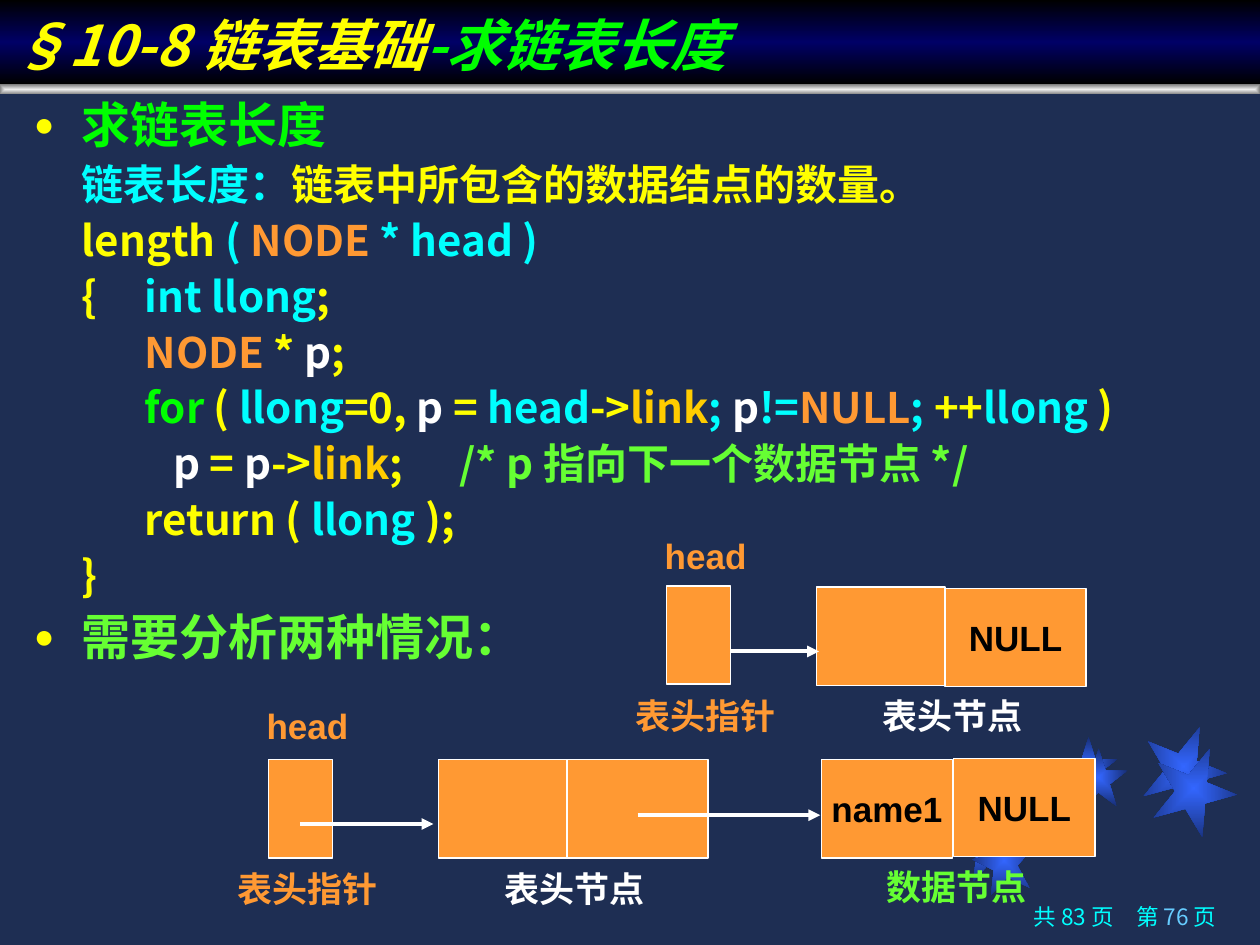
from lxml import etree
from pptx import Presentation
from pptx.dml.color import RGBColor
from pptx.enum.shapes import MSO_CONNECTOR, MSO_SHAPE
from pptx.enum.text import MSO_ANCHOR, PP_ALIGN
from pptx.oxml.ns import qn
from pptx.util import Inches, Pt

RECT, STAR = MSO_SHAPE.RECTANGLE, MSO_SHAPE.STAR_5_POINT
LINE = MSO_CONNECTOR.STRAIGHT
MIDDLE, BOTTOM = MSO_ANCHOR.MIDDLE, MSO_ANCHOR.BOTTOM
CENTER, RIGHT = PP_ALIGN.CENTER, PP_ALIGN.RIGHT
SANS, ARIAL = "Noto Sans CJK SC", "Arial"
YELLOW, CYAN, GREEN, LIME = "FFFF00", "00FFFF", "00FF00", "66FF33"
ORANGE, GOLD, WHITE, BLACK = "FF9933", "FFCC00", "FFFFFF", "000000"

# Each line of code is a list of (text, colour) runs.
CODE = [
    [("链表长度：", CYAN), ("链表中所包含的数据结点的数量。", YELLOW)],
    [("length", YELLOW), (" ( ", CYAN), ("NODE", ORANGE), (" * head )", CYAN)],
    [("{\t", YELLOW), ("int llong", CYAN), (";", YELLOW)],
    [("\t", YELLOW), ("NODE", ORANGE), (" * ", YELLOW), ("p", WHITE), (";", YELLOW)],
    [("\t", YELLOW), ("for ", GREEN), ("( ", YELLOW), ("llong", CYAN),
     ("=0,", YELLOW), (" p ", WHITE), ("=", YELLOW), (" head", CYAN),
     ("->", YELLOW), ("link", GOLD), ("; ", CYAN), ("p", WHITE), ("!=", CYAN),
     ("NULL", ORANGE), ("; ", CYAN), ("++", YELLOW), ("llong ", CYAN), (")", YELLOW)],
    [("\t   ", YELLOW), ("p", WHITE), (" = ", YELLOW), ("p", WHITE), ("->", YELLOW),
     ("link", GOLD), (";\t", YELLOW), ("/* p 指向下一个数据节点 */", LIME)],
    [("\treturn ( ", YELLOW), ("llong", CYAN), (" );", YELLOW)],
    [("}", YELLOW)],
]
STARS = [(7.58, 6.47, 0.5, 349), (8.41, 5.85, 0.46, 0), (9.06, 5.75, 0.67, 22),
         (7.72, 6.58, 0.5, 349), (8.49, 5.94, 0.46, 0), (9.14, 5.92, 0.67, 22)]


def rgb(code):
    return RGBColor.from_string(code)


def add(parent, tag, **attrs):
    return etree.SubElement(parent, qn(tag), attrs)


def shade(shape, stops, angle=None):
    """Fill with a linear gradient, or one from the centre if no angle is given."""
    shape.fill.background()
    props = shape.fill._xPr
    grad = etree.Element(qn("a:gradFill"), rotWithShape="1")
    steps = add(grad, "a:gsLst")
    for spot, code in stops:
        stop = add(steps, "a:gs", pos=str(spot * 1000))
        add(stop, "a:srgbClr", val=code)
    if angle is None:
        side = dict.fromkeys("ltrb", "50000")
        add(add(grad, "a:path", path="rect"), "a:fillToRect", **side)
    else:
        add(grad, "a:lin", ang=str(angle * 60000), scaled="0")
    props.replace(props.find(qn("a:noFill")), grad)


def add_form(slide, kind, x, y, w, h):
    form = slide.shapes.add_shape(kind, Inches(x), Inches(y), Inches(w), Inches(h))
    form.shadow.inherit = False
    form.line.fill.background()
    return form


def add_text(slide, x, y, w, h):
    frame = slide.shapes.add_textbox(
        Inches(x), Inches(y), Inches(w), Inches(h)).text_frame
    frame.word_wrap = True
    return frame


def write(para, runs, size, font=SANS, bold=True):
    para.font.size, para.font.name, para.font.bold = Pt(size), font, bold
    add(para._p.pPr.find(qn("a:defRPr")), "a:ea", typeface=SANS)
    for text, code in runs:
        run = para.add_run()
        run.text = text
        run.font.color.rgb = rgb(code)


def mark(frame, text, code):
    """Write one short centred caption."""
    frame.word_wrap = False
    frame.vertical_anchor = MIDDLE
    para = frame.paragraphs[0]
    para.alignment = CENTER
    write(para, [(text, code)], 20, ARIAL)


def add_label(slide, x, y, text, code):
    mark(add_text(slide, x, y, 1.48, 0.39), text, code)


def add_cell(slide, x, y, w, text=""):
    cell = add_form(slide, RECT, x, y, w, 0.78)
    cell.fill.solid()
    cell.fill.fore_color.rgb = rgb(ORANGE)
    cell.line.color.rgb = rgb(WHITE)
    cell.line.width = Pt(0.75)
    if text:
        mark(cell.text_frame, text, BLACK)


def add_arrow(slide, start, end, y):
    arrow = slide.shapes.add_connector(
        LINE, Inches(start), Inches(y), Inches(end), Inches(y))
    arrow.line.color.rgb = rgb(WHITE)
    arrow.line.width = Pt(2.25)
    add(arrow.line._get_or_add_ln(), "a:tailEnd", type="triangle")
    add(arrow._element.spPr, "a:effectLst")


def indent(para, bullet):
    props = para._p.get_or_add_pPr()
    props.set("marL", str(Inches(0.38)))
    props.set("indent", str(-Inches(0.38)))
    if bullet:
        add(add(props, "a:buClr"), "a:srgbClr", val=YELLOW)
        add(props, "a:buSzPct", val="70000")
        add(props, "a:buFont", typeface=ARIAL)
        add(props, "a:buChar", char="●")
    else:
        add(props, "a:buNone")
        tabs = add(props, "a:tabLst")
        for spot in (0, 1, 3.74):
            add(tabs, "a:tab", pos=str(Inches(spot)), algn="l")


def add_body(slide):
    frame = add_text(slide, 0.17, 0.75, 9.75, 4.85)
    heads = [("求链表长度", GREEN)], [("需要分析两种情况：", LIME)]
    lines = [heads[0], *CODE, heads[1]]
    for i, runs in enumerate(lines):
        para = frame.add_paragraph() if i else frame.paragraphs[0]
        bullet = runs in heads
        indent(para, bullet)
        para.line_spacing = 0.9
        if i:
            para.space_before = Pt(7 if bullet else 6)
        if not bullet:
            runs = [("\t", YELLOW), *runs]
        write(para, runs, 28 if bullet else 24)


def add_decor(slide):
    for x, y, size, turn in STARS:
        star = add_form(slide, STAR, x, y, size, size)
        star.rotation = turn
        shade(star, [(0, "3366FF"), (100, "182F76")])
    shade(add_form(slide, RECT, 0, 0.67, 10, 0.08), [(0, "EDEDED"), (100, "808080")])


def add_title(slide):
    band = add_form(slide, RECT, 0, 0, 10, 0.67)
    shade(band, [(0, BLACK), (50, "000066"), (100, BLACK)], 90)
    band.text_frame.vertical_anchor = BOTTOM
    para = band.text_frame.paragraphs[0]
    para.alignment = PP_ALIGN.LEFT
    para.font.italic = True
    write(para, [("§10-8 链表基础", YELLOW), ("-求链表长度", GREEN)], 32)


def add_empty(slide):
    """Draw the list that has a head node only."""
    add_cell(slide, 5.29, 4.65, 0.51)
    add_cell(slide, 6.48, 4.66, 1.02)
    add_cell(slide, 7.5, 4.67, 1.12, "NULL")
    add_arrow(slide, 5.8, 6.5, 5.17)
    add_label(slide, 4.86, 4.21, "head", ORANGE)
    add_label(slide, 4.86, 5.48, "表头指针", ORANGE)
    add_label(slide, 6.82, 5.48, "表头节点", WHITE)


def add_chain(slide):
    """Draw the list that has one data node."""
    add_cell(slide, 2.13, 6.03, 0.51)
    add_cell(slide, 3.48, 6.03, 1.02)
    add_cell(slide, 4.5, 6.03, 1.12)
    add_cell(slide, 6.52, 6.03, 1.04, "name1")
    add_cell(slide, 7.57, 6.02, 1.12, "NULL")
    add_arrow(slide, 2.38, 3.44, 6.54)
    add_arrow(slide, 5.06, 6.51, 6.47)
    add_label(slide, 1.7, 5.56, "head", ORANGE)
    add_label(slide, 1.7, 6.86, "表头指针", ORANGE)
    add_label(slide, 3.82, 6.86, "表头节点", WHITE)
    add_label(slide, 6.85, 6.84, "数据节点", LIME)


def add_footer(slide):
    para = add_text(slide, 7.12, 7.14, 2.63, 0.36).paragraphs[0]
    para.alignment = RIGHT
    para.line_spacing = 0.9
    write(para, [("共 83 页　第 ", CYAN), ("76 ", "66CCFF"), ("页", CYAN)], 12.9, bold=False)


def main():
    deck = Presentation()
    deck.slide_width, deck.slide_height = Inches(10), Inches(7.5)
    slide = deck.slides.add_slide(deck.slide_layouts[6])
    slide.background.fill.solid()
    slide.background.fill.fore_color.rgb = rgb("1E2E53")
    add_decor(slide)
    add_body(slide)
    add_empty(slide)
    add_chain(slide)
    add_title(slide)
    add_footer(slide)
    deck.save("out.pptx")


if __name__ == "__main__":
    main()
